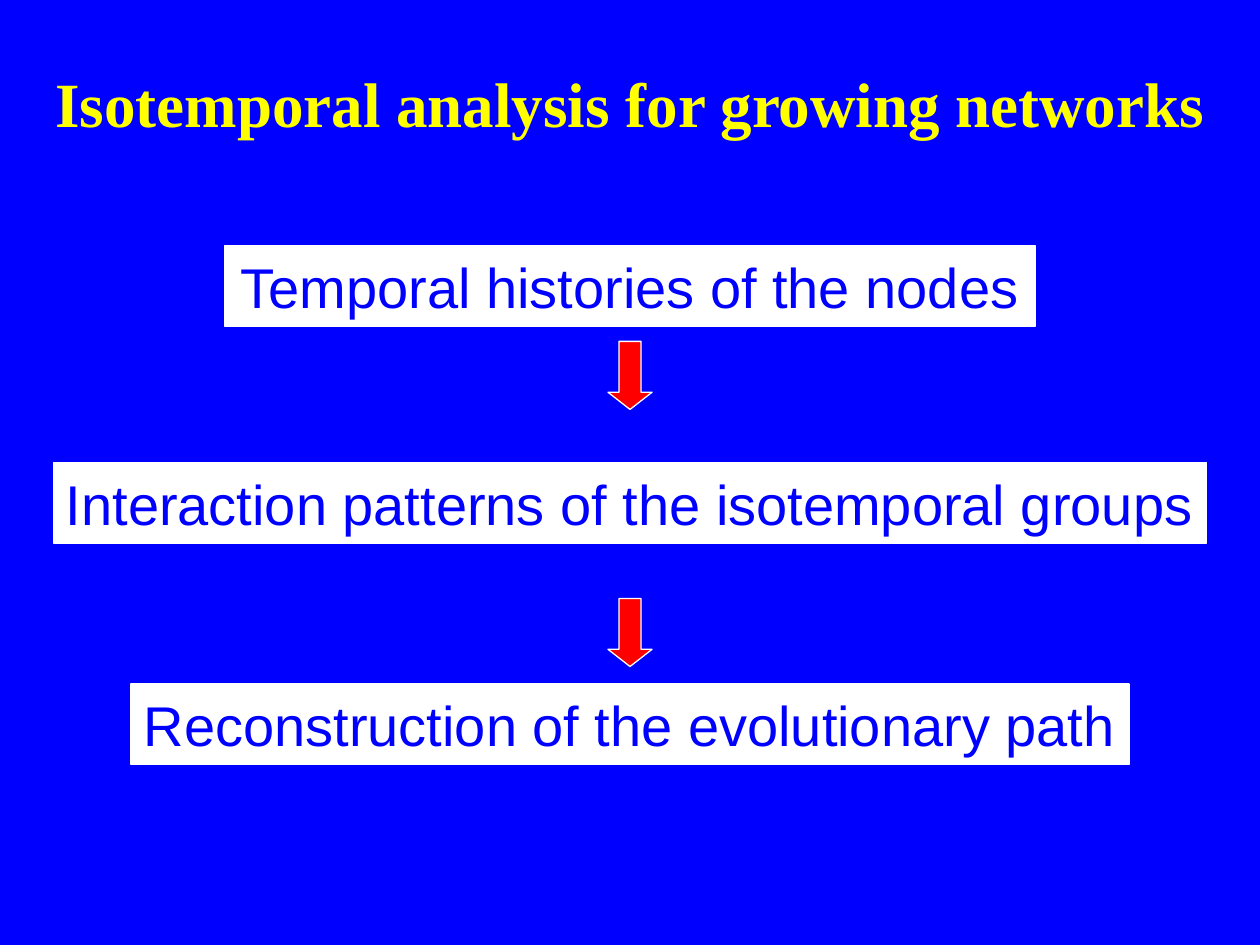
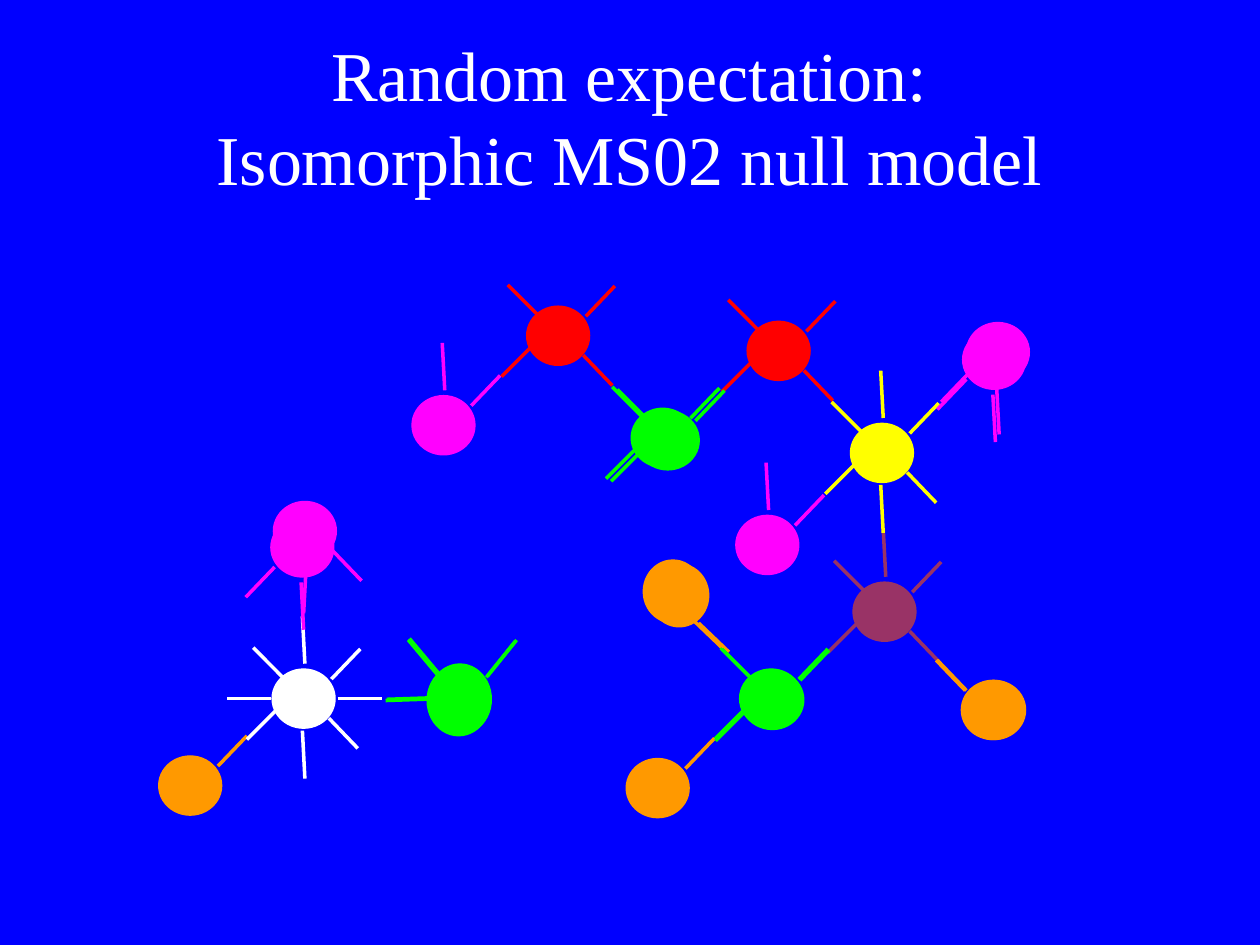
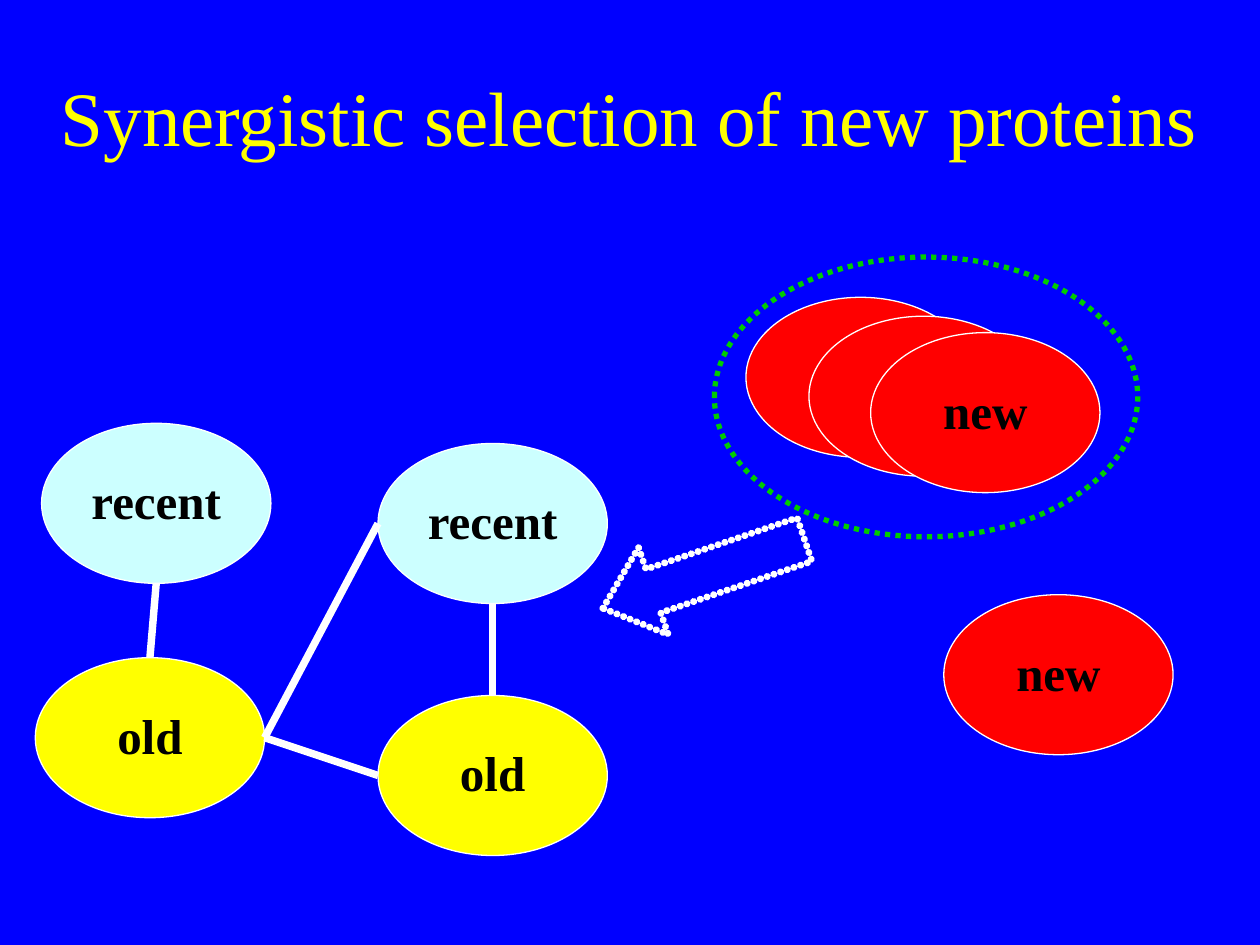
import collections
import copy
import pptx
import pptx.dml.color
import pptx.enum.dml
import pptx.enum.shapes
import pptx.enum.text
import pptx.oxml
import pptx.oxml.ns
import pptx.util

RGB = pptx.dml.color.RGBColor
KIND = pptx.enum.shapes.MSO_SHAPE
FIT = pptx.enum.text.MSO_AUTO_SIZE
DRAW = pptx.oxml.ns.nsdecls("a")

BLUE = RGB(0x00, 0x00, 0xFF)
WHITE = RGB(0xFF, 0xFF, 0xFF)
BLACK = RGB(0x00, 0x00, 0x00)
YELLOW = RGB(0xFF, 0xFF, 0x00)
RED = RGB(0xFF, 0x00, 0x00)
LIME = RGB(0x00, 0xFF, 0x00)
GREEN = RGB(0x00, 0xCC, 0x00)
PINK = RGB(0xFF, 0x00, 0xFF)
PLUM = RGB(0x99, 0x33, 0x66)
ORANGE = RGB(0xFF, 0x99, 0x00)
CYAN = RGB(0xCC, 0xFF, 0xFF)

SERIF = "Times New Roman"
SANS = "Arial"
COLS, ROWS = 100, 75
WIDE, HIGH = pptx.util.Inches(10), pptx.util.Inches(7.5)

Box = collections.namedtuple("Box", "x y w h")
Type = collections.namedtuple("Type", "font size color bold")

LABEL = Type(SERIF, 28, BLACK, True)
STEP = Type(SANS, 32, BLUE, False)

SPOKES = {
    "NE": (0.44, -0.33, 0.9, -0.84),
    "SE": (0.4, 0.33, 0.86, 0.84),
    "SW": (-0.44, 0.2, -0.9, 0.69),
    "NW": (-0.34, -0.37, -0.8, -0.86),
    "N": (0.02, -0.59, -0.02, -1.39),
    "S": (-0.02, 0.54, 0.02, 1.35),
    "W": (-0.52, 0, -1.22, 0),
    "E": (0.54, 0, 1.24, 0),
    "LOW": (-0.48, -0.02, -1.16, 0),
}
CROSS = "NE SE SW NW"
FORK = "NE SW NW"

NODES = [
    (57.7, 26.2, PLUM, CROSS + " N", ""),
    (49.3, 5.5, RED, CROSS, ""),
    (40.1, 12.4, LIME, FORK, ""),
    (48.4, 20.9, PINK, "NE N", ""),
    (2.6, 40, ORANGE, "NE", ""),
    (57.5, 13.6, YELLOW, CROSS + " N S", ""),
    (66.4, 34, ORANGE, "NE", "h"),
    (11.7, 19.8, PINK, "NE N", "v"),
    (22.7, 11.4, PINK, "NE N", ""),
    (11.6, 33.1, WHITE, CROSS + " N S W E", ""),
    (23.9, 32.8, LIME, "NE LOW NW", "tall"),
    (31.8, 4.3, RED, CROSS, ""),
    (40.9, 24.6, ORANGE, "NE", "turn"),
    (48.7, 33.1, LIME, FORK, ""),
    (39.7, 40.2, ORANGE, "NE", ""),
    (66.4, 6.2, PINK, "NE N", "hv"),
    (66.7, 5.6, PINK, "NE N", "hv"),
    (41.4, 24.9, ORANGE, "NE", "turn"),
    (66.3, 34, ORANGE, "NE", "h"),
    (24, 32.7, LIME, "NE LOW NW", "tall"),
    (48.8, 33.2, LIME, FORK, ""),
    (40.5, 12.6, LIME, FORK, ""),
    (11.5, 21.1, PINK, "NE N", "hv"),
]


def col(n):
    return round(n * WIDE / COLS)


def row(n):
    return round(n * HIGH / ROWS)


def place(box):
    return col(box.x), row(box.y), col(box.w), row(box.h)


def write(para, text, style):
    para.alignment = pptx.enum.text.PP_ALIGN.CENTER
    for i, line in enumerate(text.split("\n")):
        if i:
            para.add_line_break()
        run = para.add_run()
        run.text = line
        run.font.name = style.font
        run.font.size = pptx.util.Pt(style.size)
        run.font.bold = style.bold
        run.font.color.rgb = style.color
    for gap in para._p.xpath("a:br"):
        gap.append(copy.deepcopy(run._r.rPr))


def shape(shapes, kind, box, fill, edge, width=0.75):
    item = shapes.add_shape(kind, *place(box))
    item.shadow.inherit = False
    if fill is None:
        item.fill.background()
    else:
        item.fill.solid()
        item.fill.fore_color.rgb = fill
    item.line.color.rgb = edge
    item.line.width = pptx.util.Pt(width)
    return item


def line(shapes, start, end, color, width):
    link = shapes.add_connector(
        pptx.enum.shapes.MSO_CONNECTOR.STRAIGHT,
        col(start[0]), row(start[1]), col(end[0]), row(end[1]))
    link.line.color.rgb = color
    link.line.width = pptx.util.Pt(width)
    link._element.spPr.append(pptx.oxml.parse_xml(f"<a:effectLst {DRAW}/>"))


def page(deck, text, style, box=Box(2.1, 2.9, 95.7, 12.5)):
    slide = deck.slides.add_slide(deck.slide_layouts[5])
    title = slide.shapes.title
    title.left, title.top, title.width, title.height = place(box)
    frame = title.text_frame
    frame.word_wrap = True
    frame.auto_size = FIT.NONE
    frame.vertical_anchor = pptx.enum.text.MSO_ANCHOR.MIDDLE
    write(frame.paragraphs[0], text, style)
    return slide


def flow(slide, box):
    steps = [
        ("Temporal histories of the nodes", 0, 64.3),
        ("Interaction patterns of the isotemporal groups", 17.2, 91.5),
        ("Reconstruction of the evolutionary path", 34.8, 79.2),
    ]
    mid = box.x + box.w / 2
    for text, top, wide in steps:
        item = shape(slide.shapes, KIND.RECTANGLE,
                     Box(mid - wide / 2, box.y + top, wide, 6.4), WHITE, WHITE)
        frame = item.text_frame
        frame.margin_left = frame.margin_right = 0
        frame.word_wrap = False
        frame.auto_size = FIT.NONE
        frame.vertical_anchor = pptx.enum.text.MSO_ANCHOR.MIDDLE
        write(frame.paragraphs[0], text, STEP)
    for top in (7.6, 28):
        arrow = shape(slide.shapes, KIND.DOWN_ARROW,
                      Box(mid - 1.75, box.y + top, 3.5, 5.4), RED, WHITE)
        arrow.adjustments[1] = 0.39


def node(slide, box, color, names, mode):
    shapes = slide.shapes.add_group_shape().shapes
    disc = shape(shapes, KIND.OVAL, box, color, color)
    if mode == "turn":
        disc.rotation = 90
    mid = box.x + box.w / 2, box.y + box.h / 2

    def point(dx, dy):
        dx, dy = dx * box.w, dy * box.h
        if mode == "turn":
            dx, dy = -dy, dx
        if mode in ("h", "hv"):
            dx = -dx
        if mode in ("v", "hv"):
            dy = -dy
        return mid[0] + dx, mid[1] + dy

    for name in names.split():
        spoke = SPOKES[name]
        line(shapes, point(*spoke[:2]), point(*spoke[2:]), color, 2)


def network(slide, box):
    for x, y, color, names, mode in NODES:
        high = 5.6 if mode == "tall" else 4.7
        node(slide, Box(box.x + x, box.y + y, 5, high), color, names, mode)


def protein(slide, box, text, fill):
    item = shape(slide.shapes, KIND.OVAL, box, fill, WHITE)
    frame = item.text_frame
    frame.margin_left = frame.margin_right = frame.margin_top = 0
    frame.word_wrap = True
    frame.vertical_anchor = pptx.enum.text.MSO_ANCHOR.MIDDLE
    write(frame.paragraphs[0], text, LABEL)


def cells(slide, box):
    wide, high = 18.2, 12.7
    spots = [
        (30, 14.8, "recent", CYAN),
        (30, 34.8, "old", YELLOW),
        (2.8, 31.8, "old", YELLOW),
        (3.3, 13.2, "recent", CYAN),
        (59.2, 3.2, "new", RED),
        (64.2, 4.7, "new", RED),
        (69.1, 6, "new", RED),
        (74.9, 26.8, "new", RED),
    ]
    for x, y, text, fill in spots:
        protein(slide, Box(box.x + x, box.y + y, wide, high), text, fill)

    def edge(i, across, down):
        x, y = spots[i][:2]
        return box.x + x + across * wide, box.y + y + down * high

    links = [
        (edge(2, 1, 0.5), edge(0, 0, 0.5)),
        (edge(0, 0.5, 1), edge(1, 0.5, 0)),
        (edge(2, 0.5, 0), edge(3, 0.5, 1)),
        (edge(2, 1, 0.5), edge(1, 0, 0.5)),
    ]
    for start, end in links:
        line(slide.shapes, start, end, WHITE, 4.25)

    arrow = shape(slide.shapes, KIND.LEFT_ARROW,
                  Box(box.x + 47.4, box.y + 21.5, 16.9, 7.3), BLUE, WHITE, 4)
    arrow.adjustments[1] = 0.58
    arrow.rotation = 341.2
    rim = arrow.line._get_or_add_ln()
    rim.set("cap", "rnd")
    rim.append(pptx.oxml.parse_xml(
        f'<a:custDash {DRAW}><a:ds d="1000" sp="100000"/></a:custDash>'))

    ring = shape(slide.shapes, KIND.OVAL,
                 Box(box.x + 56.7, box.y, 33.6, 22.2), None, GREEN, 3)
    ring.line.dash_style = pptx.enum.dml.MSO_LINE.ROUND_DOT


def main():
    deck = pptx.Presentation()
    deck.slide_width, deck.slide_height = WIDE, HIGH
    back = deck.slide_master.background.fill
    back.solid()
    back.fore_color.rgb = BLUE

    slide = page(deck, "Isotemporal analysis for growing networks",
                 Type(SERIF, 36, YELLOW, True), Box(0, 2.4, COLS, 11.4))
    flow(slide, Box(0, 19.5, COLS, 41.2))

    slide = page(deck, "Random expectation:\nIsomorphic MS02 null model",
                 Type(SERIF, 40, WHITE, False))
    network(slide, Box(10, 20, 80, 45))

    slide = page(deck, "Synergistic selection of new proteins",
                 Type(SERIF, 44, YELLOW, False))
    cells(slide, Box(0, 20.4, COLS, 47.5))
    deck.save("out.pptx")


if __name__ == "__main__":
    main()
